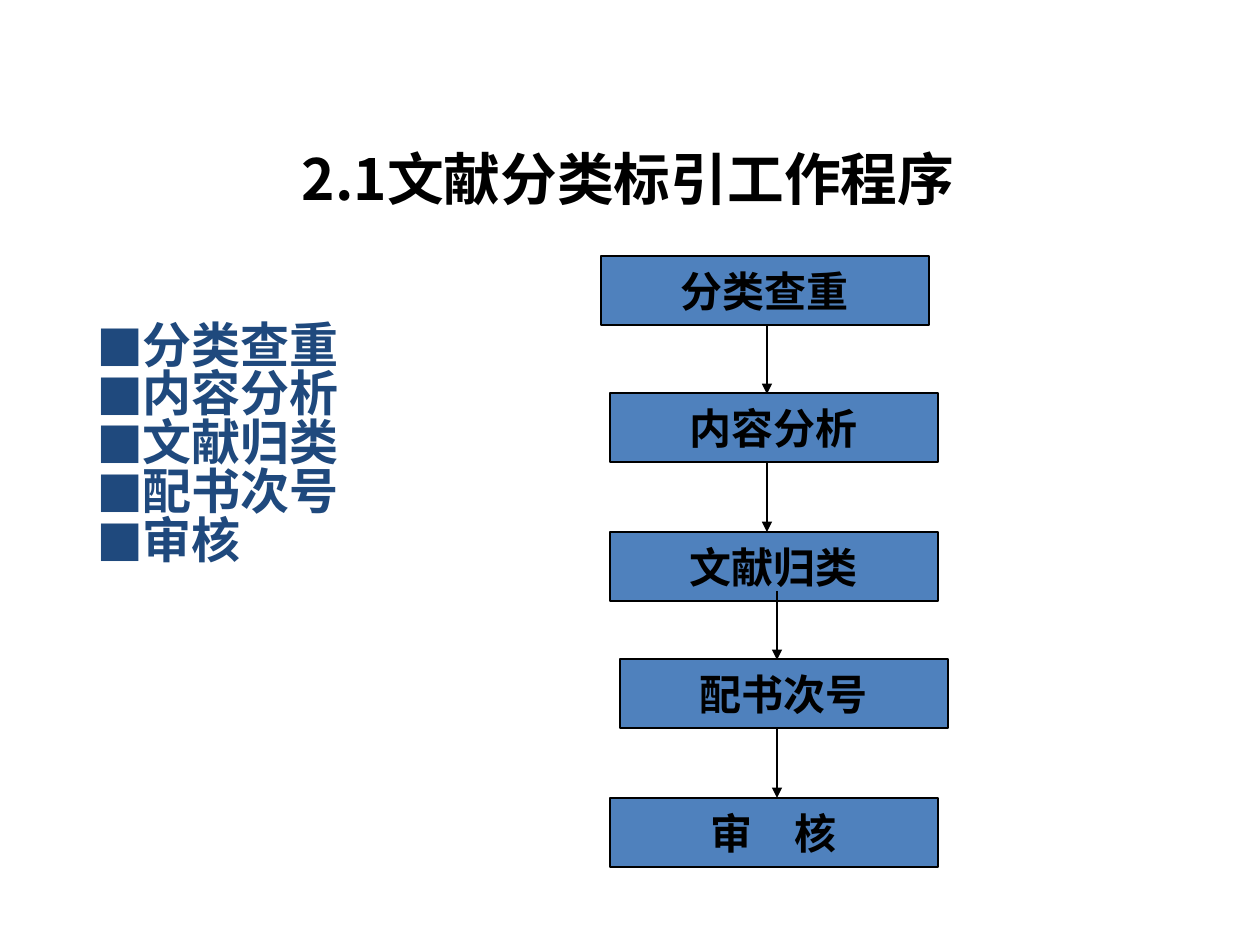
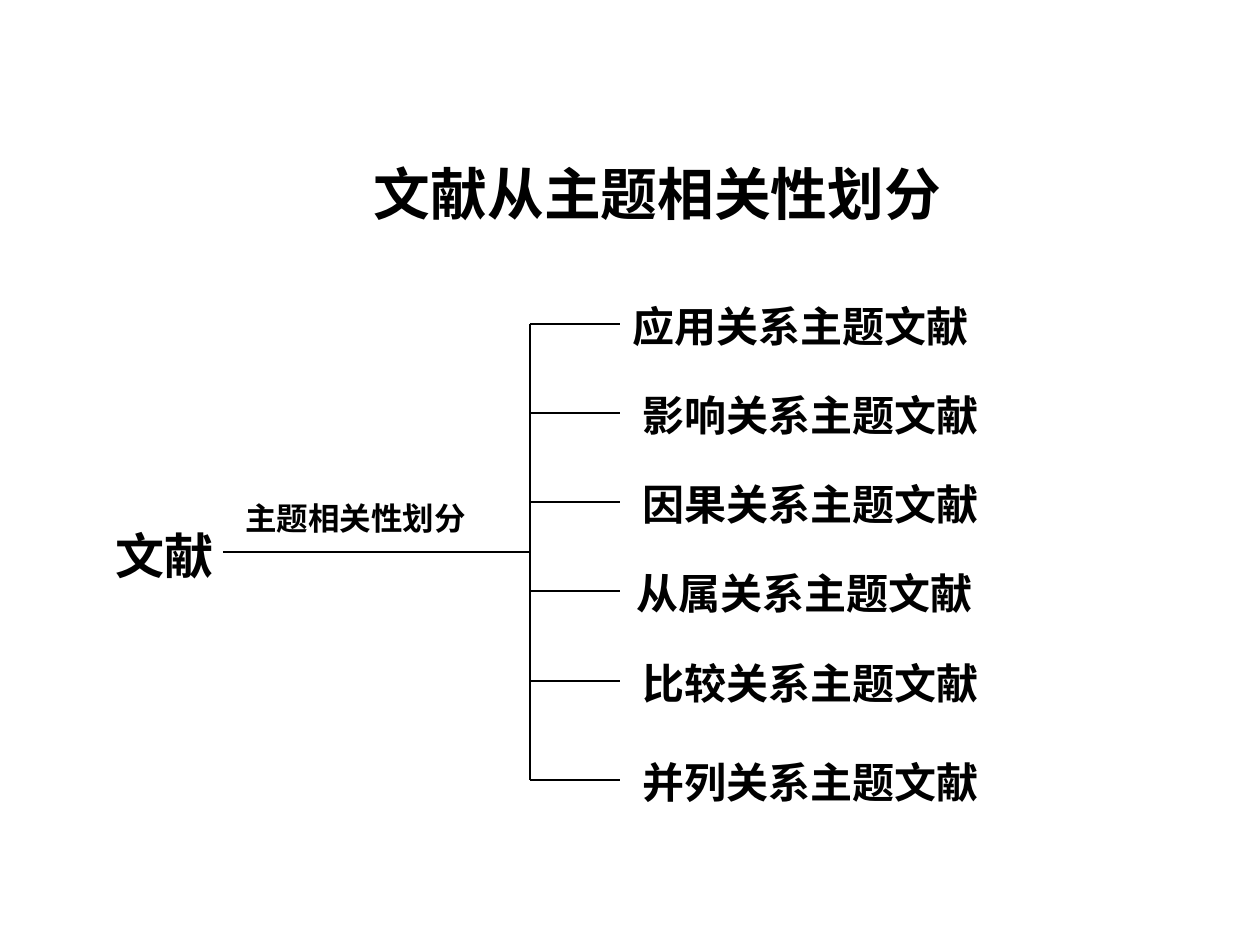
"""Builds two slides on document classification: a work flow and a topic tree."""
from lxml.etree import SubElement
from pptx import Presentation
from pptx.dml.color import RGBColor
from pptx.enum.shapes import MSO_CONNECTOR, MSO_SHAPE
from pptx.enum.text import MSO_ANCHOR as Anchor, MSO_AUTO_SIZE as AutoSize, PP_ALIGN as Align
from pptx.oxml.ns import qn
from pptx.util import Pt

PX = 7257
BLACK, BLUE, NAVY = "000000", "4F81BD", "1F497D"
LATIN, CHINESE = "Calibri", "Noto Sans CJK SC"
TITLE = dict(size=32.4, align=Align.CENTER)
color = RGBColor.from_string


def write(shape, *lines, size=24, font=LATIN, ink=BLACK, align=Align.LEFT,
          anchor=Anchor.MIDDLE, wrap=True, bullet=None, leading=None, at=None):
    """Fill a shape with bold paragraphs, placing it first if a box is given."""
    if at:
        shape.left, shape.top, shape.width, shape.height = (n * PX for n in at)
    frame = shape.text_frame
    frame.text = "\n".join(lines)
    frame.word_wrap, frame.vertical_anchor = wrap, anchor
    frame.auto_size = AutoSize.NONE
    for para in frame.paragraphs:
        para.alignment, para.space_before = align, Pt(0)
        if leading:
            para.line_spacing = leading
        if bullet:
            props = para._p.get_or_add_pPr()
            props.set("marL", "0")
            props.set("indent", "0")
            SubElement(props, qn("a:buFont"), typeface=LATIN)
            SubElement(props, qn("a:buChar"), char=bullet)
        for span in para.runs:
            span.font.size, span.font.bold, span.font.name = Pt(size), True, font
            span.font.color.rgb = color(ink)
            SubElement(span._r.get_or_add_rPr(), qn("a:ea"), typeface=CHINESE)


def connect(page, x1, y1, x2, y2, arrow=False):
    """Draw a thin black line, with an arrowhead at its end on request."""
    line = page.shapes.add_connector(MSO_CONNECTOR.STRAIGHT, x1 * PX, y1 * PX, x2 * PX, y2 * PX)
    line.line.color.rgb, line.line.width = color(BLACK), Pt(0.75)
    if arrow:
        SubElement(line.line._get_or_add_ln(), qn("a:tailEnd"), type="triangle")
    SubElement(line._element.spPr, qn("a:effectLst"))


deck = Presentation()
deck.slide_width, deck.slide_height = 1260 * PX, 945 * PX

page = deck.slides.add_slide(deck.slide_layouts[1])
write(page.shapes.title, "2.1文献分类标引工作程序", font=CHINESE, at=(144, 135, 968, 86), **TITLE)

steps = ["分类查重", "内容分析", "文献归类", "配书次号", "审核"]
body = page.placeholders[1]
write(body, *steps, size=28, font=CHINESE, ink=NAVY, anchor=Anchor.TOP,
      bullet="■", leading=0.83, at=(84, 314, 486, 505))
body.text_frame.margin_top = 10 * PX

box_corners = [(601, 256), (610, 393), (610, 532), (620, 659), (610, 798)]
for step, (left, top) in zip(steps[:-1] + ["审　核"], box_corners):
    box = page.shapes.add_shape(MSO_SHAPE.RECTANGLE, left * PX, top * PX, 328 * PX, 69 * PX)
    box.shadow.inherit = False
    box.fill.solid()
    box.fill.fore_color.rgb = color(BLUE)
    box.line.color.rgb, box.line.width = color(BLACK), Pt(0.75)
    write(box, step, align=Align.CENTER, wrap=False)

for x, y in [(767, 325), (767, 463), (777, 591), (777, 729)]:
    connect(page, x, y, x, y + 69, arrow=True)

page = deck.slides.add_slide(deck.slide_layouts[5])
write(page.shapes.title, "文献从主题相关性划分", at=(159, 155, 997, 76), **TITLE)

trunk_x, branch_end = 530, 620
branches = [
    ("应用关系主题文献", 620, 324),
    ("影响关系主题文献", 630, 413),
    ("因果关系主题文献", 630, 502),
    ("从属关系主题文献", 624, 591),
    ("比较关系主题文献", 630, 681),
    ("并列关系主题文献", 630, 780),
]
connect(page, 223, 552, trunk_x, 552)
connect(page, trunk_x, branches[0][2], trunk_x, branches[-1][2])
for topic, left, y in branches:
    connect(page, trunk_x, y, branch_end, y)

labels = [(topic, 24, (left, y - 30, 377, 63)) for topic, left, y in branches]
labels += [("文献", 28, (103, 519, 129, 72)), ("主题相关性划分", 18, (233, 493, 258, 50))]
for text, size, place in labels:
    write(page.shapes.add_textbox(0, 0, 0, 0), text, size=size, at=place)

deck.save("out.pptx")
